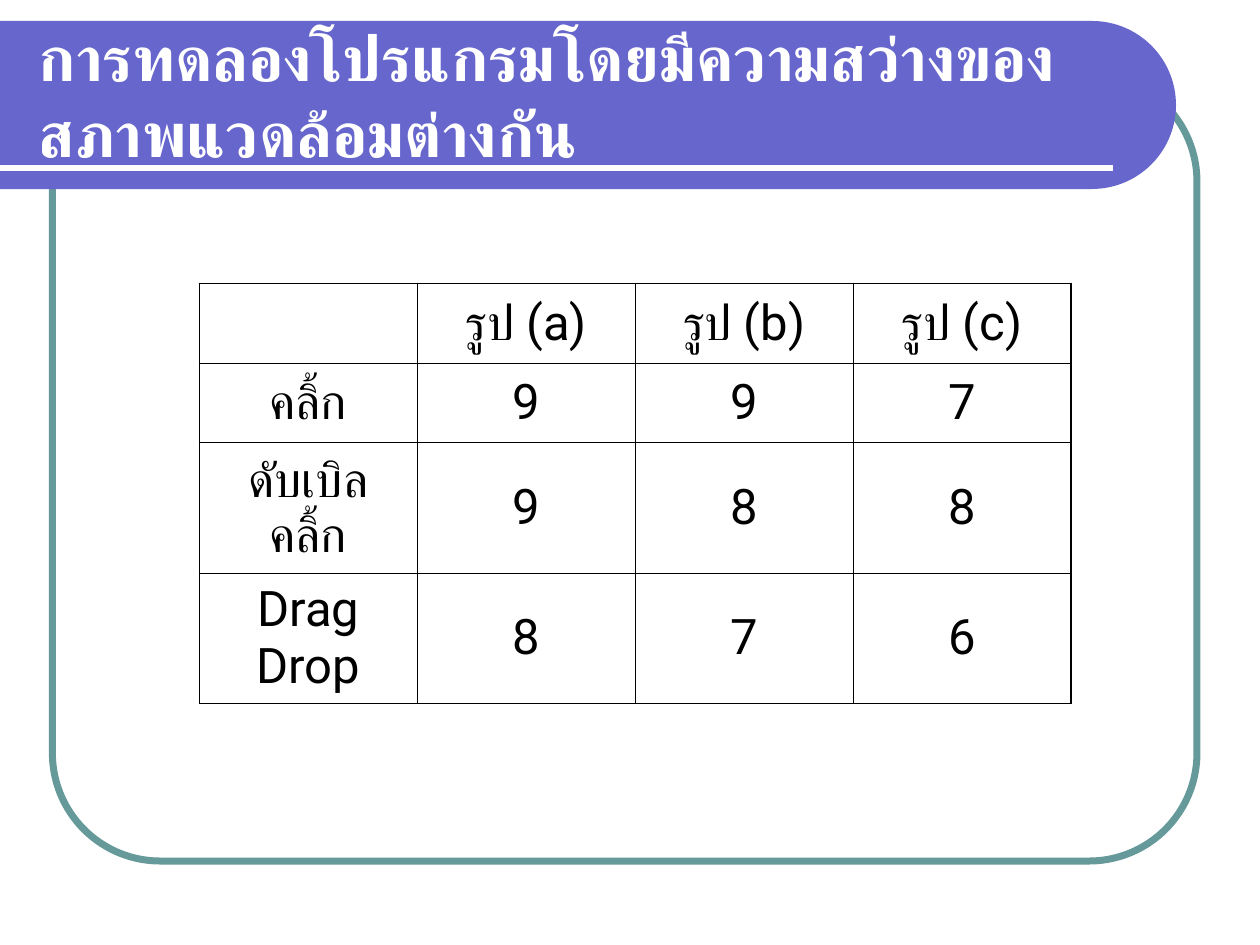
"""Build the slide comparing program trials under different lighting."""
from math import cos, pi, sin

from lxml import etree
from pptx import Presentation
from pptx.dml.color import RGBColor
from pptx.enum import shapes, text
from pptx.oxml import ns
from pptx.util import Pt


def rgb(code):
    return RGBColor.from_string(code)


class Deck:
    violet, teal, white, black = "6666CC", "669999", "FFFFFF", "000000"
    thai, latin = "Arial", "Roboto"

    def __init__(self):
        self.prs = Presentation()
        self.prs.slide_width, self.prs.slide_height = Pt(720), Pt(540)
        self.slide = self.prs.slides.add_slide(self.prs.slide_layouts[5])
        self.items = self.slide.shapes

    def style(self, para, face, size, color, bold=False):
        for run in para.runs:
            font = run.font
            font.name, font.size, font.bold = face, Pt(size), bold
            font.color.rgb = rgb(color)
            script = etree.SubElement(run._r.get_or_add_rPr(), ns.qn("a:cs"))
            script.set("typeface", face)

    def frame(self, left, top, width, height, round):
        box = self.items.add_shape(
            shapes.MSO_SHAPE.ROUNDED_RECTANGLE, Pt(left), Pt(top), Pt(width), Pt(height))
        box.adjustments[0] = round
        box.shadow.inherit = False
        box.fill.background()
        box.line.color.rgb = rgb(self.teal)
        box.line.width = Pt(4)

    def banner(self, top, width, height, steps=60):
        rad = height / 2
        turns = [pi * n / steps - pi / 2 for n in range(steps + 1)]
        arc = [(Pt(width - rad + rad * cos(t)), Pt(top + rad + rad * sin(t))) for t in turns]
        pen = self.items.build_freeform(0, Pt(top))
        pen.add_line_segments(arc + [(0, Pt(top + height))])
        band = pen.convert_to_shape()
        band.shadow.inherit = False
        band.fill.solid()
        band.fill.fore_color.rgb = rgb(self.violet)
        band.line.fill.background()

    def rule(self, left, right, y):
        line = self.items.add_connector(
            shapes.MSO_CONNECTOR.STRAIGHT, Pt(left), Pt(y), Pt(right), Pt(y))
        line.line.color.rgb = rgb(self.white)
        line.line.width = Pt(3)
        etree.SubElement(line._element.spPr, ns.qn("a:effectLst"))

    def title(self, words, left, top, width, height):
        head = self.items.title
        head.left, head.top, head.width, head.height = Pt(left), Pt(top), Pt(width), Pt(height)
        self.items._spTree.append(head._element)
        body = head.text_frame
        body.text = words
        body.word_wrap = True
        body.auto_size = text.MSO_AUTO_SIZE.NONE
        body.vertical_anchor = text.MSO_ANCHOR.MIDDLE
        para = body.paragraphs[0]
        para.alignment = text.PP_ALIGN.LEFT
        self.style(para, self.thai, 36, self.white, True)

    def border(self, cell, outer):
        props = cell._tc.get_or_add_tcPr()
        for side in "LRTB":
            edge = etree.SubElement(props, ns.qn("a:ln" + side))
            edge.set("w", str(Pt(1.08 if side in outer else 0.45)))
            fill = etree.SubElement(edge, ns.qn("a:solidFill"))
            etree.SubElement(fill, ns.qn("a:srgbClr")).set("val", self.black)

    def table(self, rows, left, top, width, heights):
        count = len(rows[0])
        grid = self.items.add_table(
            len(rows), count, Pt(left), Pt(top), Pt(width), Pt(sum(heights))).table
        grid.first_row = grid.horz_banding = False
        for col in grid.columns:
            col.width = Pt(width / count)
        for r, row in enumerate(rows):
            grid.rows[r].height = Pt(heights[r])
            for c, words in enumerate(row):
                cell = grid.cell(r, c)
                ends = {"L": c == 0, "R": c == count - 1, "T": r == 0, "B": r == len(rows) - 1}
                self.border(cell, [side for side in ends if ends[side]])
                cell.fill.background()
                cell.vertical_anchor = text.MSO_ANCHOR.MIDDLE
                cell.text_frame.text = words
                para = cell.text_frame.paragraphs[0]
                para.alignment = text.PP_ALIGN.CENTER
                face = self.thai if c == 0 and not words.isascii() else self.latin
                self.style(para, face, 28, self.black)


def main():
    deck = Deck()
    deck.frame(30, 42, 654, 450, 0.137)
    deck.banner(12, 672, 96)
    deck.rule(0, 636, 96)
    deck.title("การทดลองโปรแกรมโดยมีความสว่างของสภาพแวดล้อมต่างกัน", 15, 18, 631.5, 72)
    rows = [
        ["", "รูป (a)", "รูป (b)", "รูป (c)"],
        ["คลิ้ก", "9", "9", "7"],
        ["ดับเบิลคลิ้ก", "9", "8", "8"],
        ["Drag Drop", "8", "7", "6"],
    ]
    deck.table(rows, 114, 162, 498, [45.5, 45.5, 74.5, 74.5])
    deck.prs.save("out.pptx")


if __name__ == "__main__":
    main()
